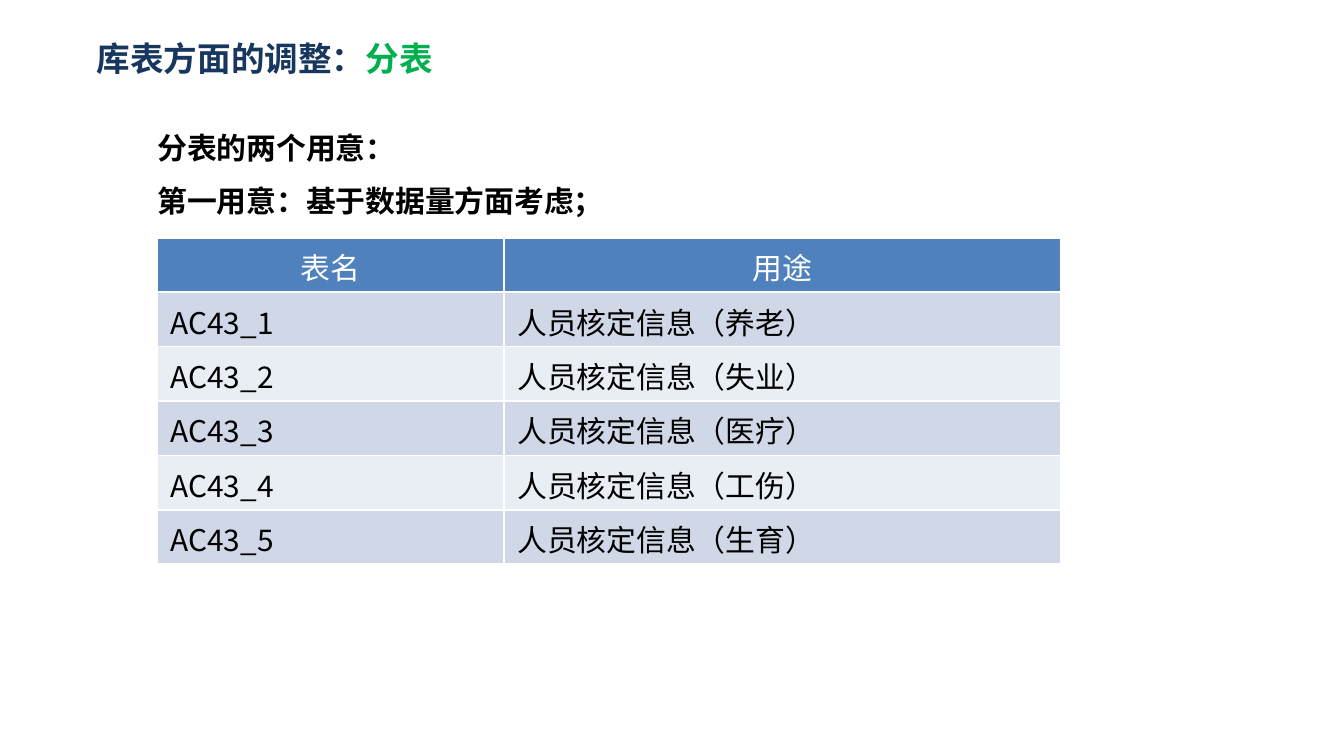
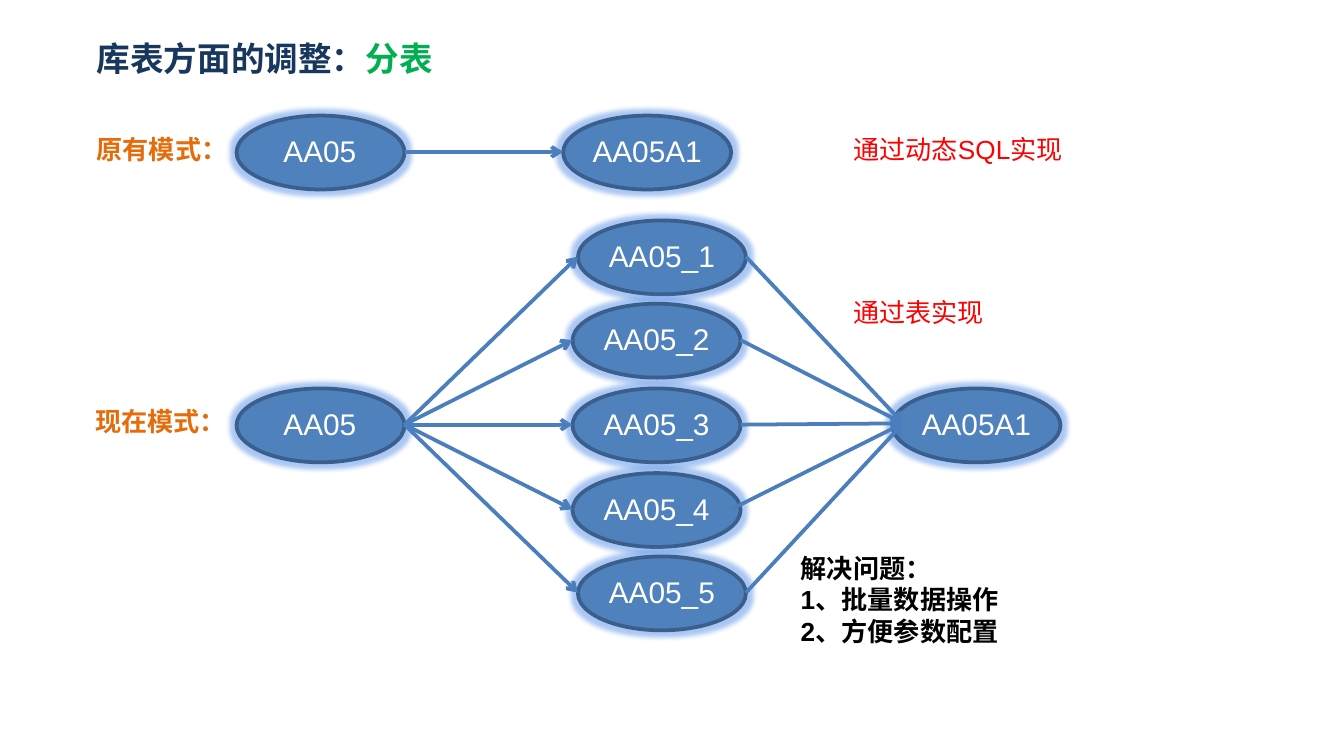
from lxml import etree
from pptx import Presentation
from pptx.dml import color as dml
from pptx.enum import shapes, text
from pptx.oxml import ns
from pptx.util import Emu, Pt

PX = 9144  # 100 px to the inch
CJK, ARIAL, LABEL = "Noto Sans CJK SC", "Arial", "Calibri"
NAVY, GREEN, ORANGE, RED = "17375E", "00B050", "E46C0A", "FF0000"
BLUE, EDGE, WIRE, GLOW = "4F81BD", "3A5F8C", "4B7EBC", "5590E8"
BLACK, WHITE = "000000", "FFFFFF"
BANDS = ("E9EDF4", "D0D8E8")
OVAL_W, OVAL_H = 125, 55


def px(*nums):
    return [Emu(n * PX) for n in nums]


def paint(target, hue):
    if hasattr(target, "solid"):
        target.solid()
        target = target.fore_color
    else:
        target = target.color
    target.rgb = dml.RGBColor.from_string(hue)


def node(parent, tag, **attrs):
    return etree.SubElement(parent, ns.qn(tag), attrs)


def put(par, words, size, hue, font=ARIAL, bold=False):
    run = par.add_run()
    run.text = words
    run.font.size, run.font.bold, run.font.name = Pt(size), bold, font
    paint(run.font, hue)
    node(run.font._element, "a:ea", typeface=CJK)


def place(shape, box):
    shape.left, shape.top, shape.width, shape.height = px(*box)


def lines(frame, rows):
    """Yield one paragraph for each row of text."""
    for i, row in enumerate(rows):
        yield (frame.add_paragraph() if i else frame.paragraphs[0]), row


# Shared title
def head(slide):
    title = slide.shapes.title
    place(title, (62, 23, 338, 40))
    frame = title.text_frame
    frame.auto_size = text.MSO_AUTO_SIZE.NONE
    frame.vertical_anchor = text.MSO_ANCHOR.TOP
    par = frame.paragraphs[0]
    par.alignment = text.PP_ALIGN.LEFT
    put(par, "库表方面的调整：", 18, NAVY, CJK, True)
    put(par, "分表", 18, GREEN, CJK, True)


# Indented list without bullets
def intro(slide, box, rows):
    body = slide.placeholders[1]
    place(body, box)
    body.text_frame.auto_size = text.MSO_AUTO_SIZE.NONE
    for par, row in lines(body.text_frame, rows):
        par.line_spacing, par.space_before = 1.5, Pt(0)
        put(par, row, 16, BLACK, CJK, True)
        props = par._p.get_or_add_pPr()
        props.set("marL", "0")
        props.set("indent", str(45 * PX))
        node(props, "a:buNone")


# Banded table; its white rules come from the default table style
def grid(slide, box, widths, rows):
    table = slide.shapes.add_table(len(rows), len(widths), *px(*box)).table
    for col, width in zip(table.columns, widths):
        col.width = px(width)[0]
    for r, row in enumerate(rows):
        for c, words in enumerate(row):
            cell = table.cell(r, c)
            cell.margin_top, cell.margin_bottom = px(4, 3)
            cell.vertical_anchor = text.MSO_ANCHOR.BOTTOM
            paint(cell.fill, BANDS[r % 2] if r else BLUE)
            par = cell.text_frame.paragraphs[0]
            if r == 0:
                par.alignment = text.PP_ALIGN.CENTER
            put(par, words, 16, BLACK if r else WHITE, CJK)


def note(slide, box, rows, hue, font=ARIAL, bold=False, wrap=True, size=14):
    frame = slide.shapes.add_textbox(*px(*box)).text_frame
    frame.word_wrap = wrap
    for par, row in lines(frame, rows):
        put(par, row, size, hue, font, bold)
    return frame


# Glowing oval with its name on top
def oval(slide, left, top, name, width=109):
    shape = slide.shapes.add_shape(
        shapes.MSO_SHAPE.OVAL, *px(left, top, OVAL_W, OVAL_H))
    paint(shape.fill, BLUE)
    paint(shape.line, EDGE)
    shape.line.width = Pt(2)
    shape.shadow.inherit = False
    glow = node(shape._element.spPr.find(ns.qn("a:effectLst")),
                "a:glow", rad=str(Pt(5)))
    hue = node(glow, "a:srgbClr", val=GLOW)
    node(hue, "a:alpha", val="50000")
    box = (left + (OVAL_W - width) // 2, top + 8, width, 37)
    frame = note(slide, box, [name], WHITE, size=16)
    frame.paragraphs[0].alignment = text.PP_ALIGN.CENTER


def arrow(slide, start, end):
    wire = slide.shapes.add_connector(
        shapes.MSO_CONNECTOR.STRAIGHT, *px(*start, *end))
    paint(wire.line, WIRE)
    wire.line.width = Pt(2)
    node(wire.line._get_or_add_ln(), "a:tailEnd", type="arrow")
    node(wire._element.spPr, "a:effectLst")


# One table before, joined to its detail
def before(slide, x, y):
    note(slide, (x, y + 8, 118, 34), ["原有模式："], ORANGE, LABEL, True, False)
    oval(slide, x + 114, y, "AA05", 78)
    oval(slide, x + 357, y, "AA05A1")
    arrow(slide, (x + 239, y + 27), (x + 357, y + 27))
    note(slide, (x + 563, y + 8, 234, 34), ["通过动态SQL实现"], RED)


# Five split tables now, fanned out and in again
def after(slide, x, y):
    mid = y + 125
    note(slide, (x, mid + 8, 118, 34), ["现在模式："], ORANGE, LABEL, True, False)
    oval(slide, x + 115, mid, "AA05", 78)
    oval(slide, x + 603, mid, "AA05A1")
    fork, join = (x + 240, mid + 27), (x + 611, mid + 26)
    spots = [(x + (369 if i in (0, 4) else 365), y + round(62.5 * i))
             for i in range(5)]
    for i, (left, top) in enumerate(spots, 1):
        oval(slide, left, top, f"AA05_{i}")
    for i, (left, top) in enumerate(spots, 1):
        arrow(slide, fork, (left, top + 27))
        exit_x = left + (118 if i == 4 else OVAL_W)
        arrow(slide, (exit_x, top + 27), join)
    note(slide, (x + 564, y + 52, 234, 34), ["通过表实现"], RED)
    note(slide, (x + 525, y + 242, 234, 81),
         ["解决问题：", "1、批量数据操作", "2、方便参数配置"], BLACK, bold=True)


def main():
    deck = Presentation()
    deck.slide_width = px(1000)[0]
    deck.slide_height = Emu(deck.slide_width * 9 // 16)

    # Purpose of the split
    first = deck.slides.add_slide(deck.slide_layouts[1])
    head(first)
    intro(first, (62, 78, 846, 91),
          ["分表的两个用意：", "第一用意：基于数据量方面考虑；"])
    kinds = ("养老", "失业", "医疗", "工伤", "生育")
    rows = [("表名", "用途")] + [
        (f"AC43_{i}", f"人员核定信息（{kind}）") for i, kind in enumerate(kinds, 1)]
    grid(first, (117, 177, 672, 243), (258, 414), rows)

    # Both modes compared
    second = deck.slides.add_slide(deck.slide_layouts[5])
    head(second)
    before(second, 62, 86)
    after(second, 61, 164)

    deck.save("out.pptx")


if __name__ == "__main__":
    main()
